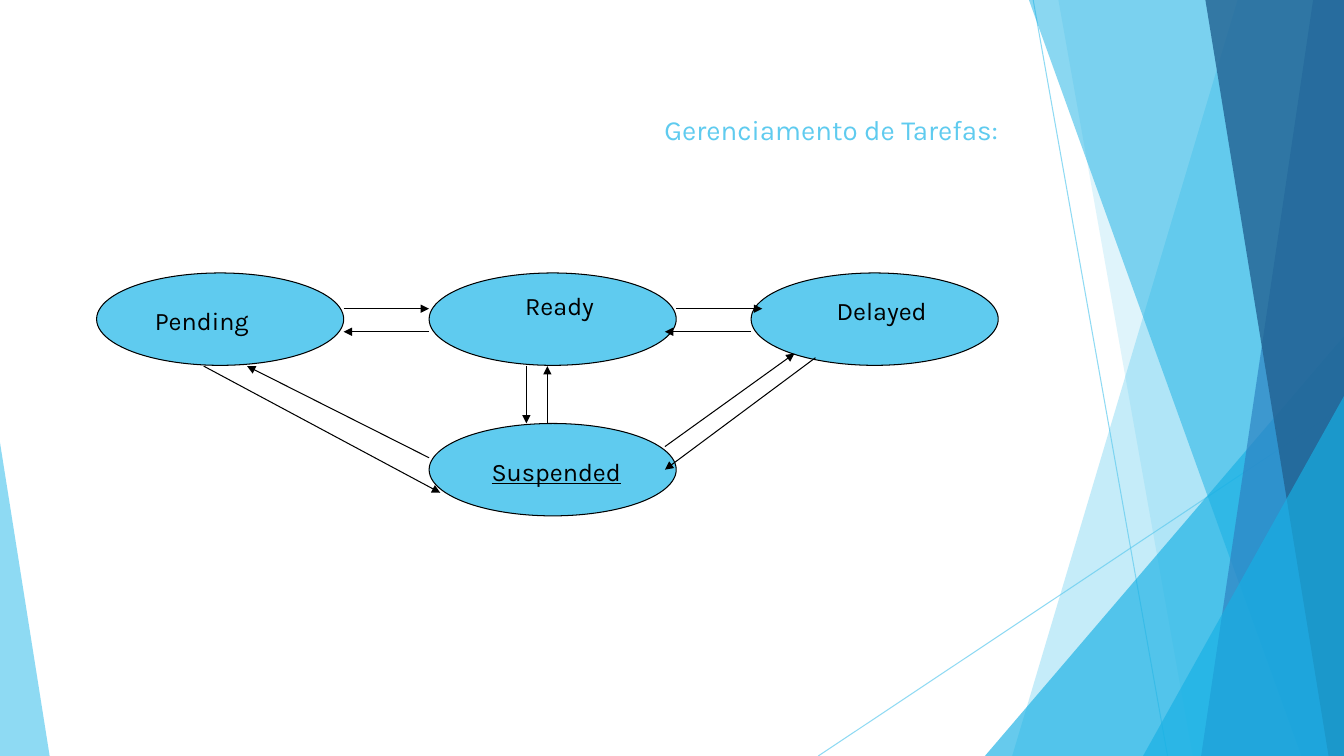
from lxml import etree
from pptx import Presentation
from pptx import util as u
from pptx.dml.color import RGBColor
from pptx.enum import shapes, text
from pptx.oxml import ns

SKY = RGBColor(0x5F, 0xCB, 0xEF)
CYAN = RGBColor(0x17, 0xB0, 0xE4)
BLUE = RGBColor(0x2E, 0x83, 0xC3)
NAVY = RGBColor(0x22, 0x62, 0x92)
BLACK = RGBColor(0, 0, 0)
FONT = "Karla"
SLIDE_W, SLIDE_H = 960, 540
STATE_W, STATE_H = 176.5, 66

FRAME = {"word_wrap": True, "vertical_anchor": text.MSO_ANCHOR.TOP}

STATES = [
    ("Pending", (0, 0), (34.5, 19.5, 122), False),
    ("Ready", (237.5, 0), (61.5, 8.5, 77), False),
    ("Delayed", (467.5, 0), (54, 12.5, 86), False),
    ("Suspended", (237.5, 107.5), (37.5, 20, 115), True),
]
TRANSITIONS = [
    ((176.5, 25.5), (237.5, 25.5)),
    ((237.5, 42), (176.5, 42)),
    ((414, 25.5), (475.5, 25.5)),
    ((467.5, 42), (406, 42)),
    ((307, 66.5), (307, 107.5)),
    ((322, 107.5), (322, 66.5)),
    ((76.5, 66.5), (245.5, 157)),
    ((237.5, 132), (107.5, 66.5)),
    ((513.5, 60.5), (406, 140.5)),
    ((406, 124), (498.5, 57.5)),
]


def set_opacity(fill_owner, percent):
    """Make the solid colour inside an element partly transparent."""
    colour = next(fill_owner.iter(ns.qn("a:srgbClr")))
    etree.SubElement(colour, ns.qn("a:alpha")).set("val", str(percent * 1000))


def paint(facet, colour, opacity):
    """Give a background facet its translucent fill and no outline."""
    facet.shadow.inherit = False
    facet.fill.solid()
    facet.fill.fore_color.rgb = colour
    facet.line.fill.background()
    set_opacity(facet.element.spPr, opacity)


def add_line(slide, start, end, colour):
    """Draw a thin straight line without a shadow."""
    ends = [u.Pt(value) for value in (*start, *end)]
    line = slide.shapes.add_connector(shapes.MSO_CONNECTOR.STRAIGHT, *ends)
    line.line.width = u.Pt(0.75)
    line.line.color.rgb = colour
    etree.SubElement(line.element.spPr, ns.qn("a:effectLst"))
    return line


def add_words(slide, words, box, formats):
    """Place one line of text in a box."""
    frame = slide.shapes.add_textbox(*map(u.Pt, box)).text_frame
    for name, value in FRAME.items():
        setattr(frame, name, value)
    run = frame.paragraphs[0].add_run()
    run.text = words
    colour = formats.pop("colour")
    for name, value in {"name": FONT, **formats}.items():
        setattr(run.font, name, value)
    run.font.color.rgb = colour


def add_facets(slide, left, top, width, height):
    """Draw the translucent facets and fine lines of the backdrop."""
    right, bottom = left + width, top + height

    def panel(top_x, bottom_x, colour, opacity):
        """Draw a panel from a slanted edge to the right side."""
        outline = slide.shapes.build_freeform(u.Pt(left + top_x), u.Pt(top))
        corners = [(right, top), (right, bottom), (left + bottom_x, bottom)]
        outline.add_line_segments([(u.Pt(x), u.Pt(y)) for x, y in corners])
        paint(outline.convert_to_shape(), colour, opacity)

    def wedge(x, wide, tall, apex, colour, opacity):
        """Draw a triangle standing on the bottom edge."""
        box = map(u.Pt, (left + x, bottom - tall, wide, tall))
        facet = slide.shapes.add_shape(shapes.MSO_SHAPE.ISOSCELES_TRIANGLE, *box)
        facet.adjustments[0] = apex
        paint(facet, colour, opacity)

    for start, end in [((738, 0), (834, height)), ((width, 290), (584.5, height))]:
        ray = add_line(slide, (left + start[0], top + start[1]),
                       (left + end[0], top + end[1]), SKY)
        set_opacity(ray.element.spPr, 70)
    panel(884, 723, SKY, 36)
    panel(756, 852, SKY, 20)
    wedge(703.5, 256.5, 300, 1, CYAN, 66)
    panel(735, 929.5, CYAN, 50)
    panel(938, 858, BLUE, 70)
    panel(861, 949, NAVY, 80)
    wedge(816.5, 143.5, 257, 1, CYAN, 66)
    wedge(0, 35.5, 224, 0, SKY, 70)


def add_state_diagram(slide, left, top):
    """Draw the task states and the transitions between them."""
    for _, (x, y), _, _ in STATES:
        box = map(u.Pt, (left + x, top + y, STATE_W, STATE_H))
        state = slide.shapes.add_shape(shapes.MSO_SHAPE.OVAL, *box)
        state.shadow.inherit = False
        state.fill.solid()
        state.fill.fore_color.rgb = SKY
        state.line.color.rgb = BLACK
        state.line.width = u.Pt(0.75)
    for start, end in TRANSITIONS:
        arrow = add_line(slide, (left + start[0], top + start[1]),
                         (left + end[0], top + end[1]), BLACK)
        head = etree.SubElement(arrow.line._get_or_add_ln(), ns.qn("a:tailEnd"))
        head.set("type", "triangle")
    for label, (x, y), (dx, dy, wide), underlined in STATES:
        add_words(slide, label, (left + x + dx, top + y + dy, wide, 29),
                  {"size": u.Pt(18), "colour": BLACK, "underline": underlined})


def add_title(slide, left, top, width, height):
    """Write the slide title."""
    add_words(slide, "Gerenciamento de Tarefas:", (left, top, width, height),
              {"size": u.Pt(19.8), "colour": SKY})


def main():
    """Build the task management slide."""
    deck = Presentation()
    deck.slide_width, deck.slide_height = u.Pt(SLIDE_W), u.Pt(SLIDE_H)
    slide = deck.slides.add_slide(deck.slide_layouts[6])
    add_facets(slide, 0, 0, SLIDE_W, SLIDE_H)
    add_state_diagram(slide, 69, 195)
    add_title(slide, 467.5, 77, 263, 29)
    deck.save("out.pptx")


if __name__ == "__main__":
    main()
